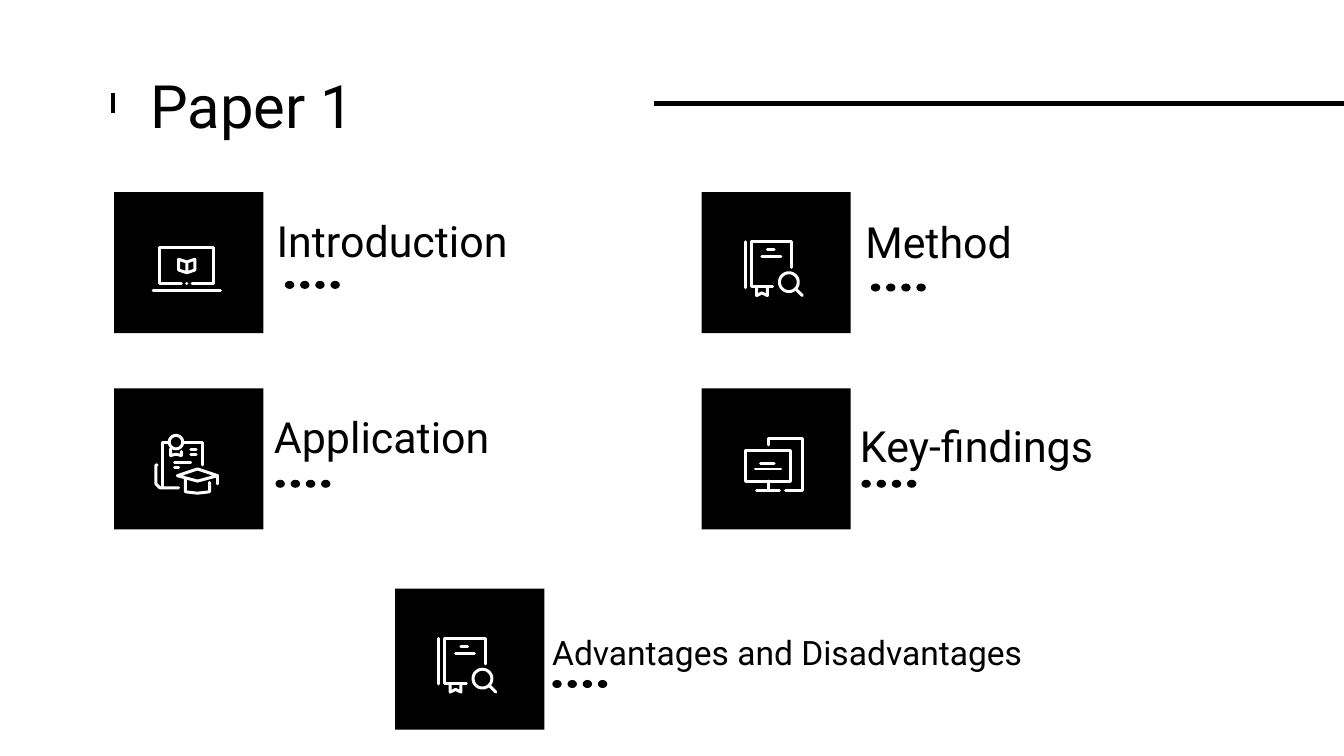
import math
from lxml import etree
from pptx import Presentation, util as u
from pptx.dml.color import RGBColor
from pptx.enum import shapes, text
from pptx.oxml.ns import qn

# Grid: 1000 columns by 562.5 rows, each cell 0.01 inch
cell = u.Inches(0.01)
ink, paper, font = "000000", "FFFFFF", "Roboto"

deck = Presentation()
deck.slide_width, deck.slide_height = 1000 * cell, round(562.5 * cell)
slide = deck.slides.add_slide(deck.slide_layouts[6])
parts = slide.shapes


def tint(fmt, hue):
    fmt.solid()
    fmt.fore_color.rgb = RGBColor.from_string(hue)


def label(words, col, row, wide, high, size, anchor):
    box = parts.add_textbox(*(n * cell for n in (col, row, wide, high)))
    frame = box.text_frame
    frame.text = words
    frame.word_wrap = True
    frame.vertical_anchor = anchor
    frame.margin_left = frame.margin_right = 10 * cell
    frame.margin_top = frame.margin_bottom = 10 * cell
    run = frame.paragraphs[0].runs[0]
    run.font.name, run.font.size = font, u.Pt(size)
    tint(run.font.fill, ink)


# Icon strokes, in grid cells from the corner of the tile
turns = [math.tau * n / 32 for n in range(33)]
lens = [(65 + 7 * math.cos(t), 67 + 7 * math.sin(t)) for t in turns]
seal = [(46 + 5 * math.cos(t), 40 + 5 * math.sin(t)) for t in turns]
laptop = [
    [(50, 68), (34, 68), (34, 41.5), (74, 41.5), (74, 68), (58, 68)],
    [(53.9, 68), (54.1, 68)],
    [(29, 73), (79, 73)],
    [(54, 52), (60, 50), (60, 58), (54, 60), (48, 58), (48, 50), (54, 52), (54, 60)],
]
book = [
    [(32.5, 37), (32.5, 71)],
    [(53, 70.5), (37, 70.5), (37, 37), (67, 37), (67, 56)],
    [(49, 43), (54, 43)],
    [(45, 48), (59, 48)],
    [(41, 70.5), (41, 77), (45, 75), (49, 77), (49, 70.5)],
    lens,
    [(70, 72), (75, 77)],
]
degree = [
    seal,
    [(42, 45), (42, 50), (46, 49), (50, 50), (50, 47)],
    [(40, 40), (36, 40), (36, 74)],
    [(32, 57), (31, 57), (31, 71), (34, 74), (48, 74)],
    [(52, 40), (66, 40), (66, 57)],
    [(57, 45.5), (61, 45.5)],
    [(57, 49), (61, 49)],
    [(45, 55), (57, 55)],
    [(45, 59), (48, 59)],
    [(47, 65), (62, 60), (77, 65), (62, 69), (47, 65)],
    [(53, 67), (53, 77), (62, 78), (71, 77), (71, 70)],
    [(77, 65), (77, 71)],
]
screen = [
    [(32.5, 46.5), (66, 46.5), (66, 69), (32.5, 69), (32.5, 46.5)],
    [(44, 56), (54, 56)],
    [(40, 60), (59, 60)],
    [(49.5, 69), (49.5, 76)],
    [(41, 76), (58, 76)],
    [(49.5, 42), (49.5, 37), (75, 37), (75, 76), (62.5, 76)],
]

# Title and its rules
label("Paper 1", 102, 41, 819, 63, 32, text.MSO_ANCHOR.TOP)
for ends in ((1000, 77, 487, 77), (84, 69, 84, 84)):
    rule = parts.add_connector(shapes.MSO_CONNECTOR.STRAIGHT, *(n * cell for n in ends))
    rule.line.width = u.Pt(2.25)
    tint(rule.line.fill, ink)
    etree.SubElement(rule._element.spPr, qn("a:effectLst"))

# Topics: words, size, width, tile corner, label corner, first dot, icon
topics = [
    ("Introduction", 23, 253, (85, 143), (196, 157), (212, 209), laptop),
    ("Method", 23, 253, (522, 143), (634, 158), (648, 211), book),
    ("Application", 23, 253, (85, 289), (194, 303), (205, 357), degree),
    ("Key-findings", 23, 253, (522, 289), (630, 310), (641, 357), screen),
    ("Advantages and Disadvantages", 18, 380, (294, 438), (401, 464), (411, 506), book),
]
for words, size, wide, tile, spot, dot, icon in topics:
    label(words, *spot, wide, 43, size, text.MSO_ANCHOR.MIDDLE)

    # Black tile and the row of four dots
    marks = [(shapes.MSO_SHAPE.RECTANGLE, *tile, 111, 105)]
    marks += [(shapes.MSO_SHAPE.OVAL, dot[0] + 11.3 * n, dot[1], 7, 6) for n in range(4)]
    for kind, *place in marks:
        mark = parts.add_shape(kind, *(round(n * cell) for n in place))
        mark.shadow.inherit = False
        tint(mark.fill, ink)
        mark.line.fill.background()

    # White line icon, its points turned into EMU to keep the curves round
    strokes = [[(x * cell, y * cell) for x, y in path] for path in icon]
    pen = parts.build_freeform(*strokes[0][0])
    for path in strokes:
        pen.move_to(*path[0])
        pen.add_line_segments(path[1:], close=False)
    sign = pen.convert_to_shape(tile[0] * cell, tile[1] * cell)
    sign.shadow.inherit = False
    sign.fill.background()
    tint(sign.line.fill, paper)
    sign.line.width = u.Pt(1.6)
    sign._element.spPr.find(qn("a:ln")).set("cap", "rnd")

deck.save("out.pptx")
